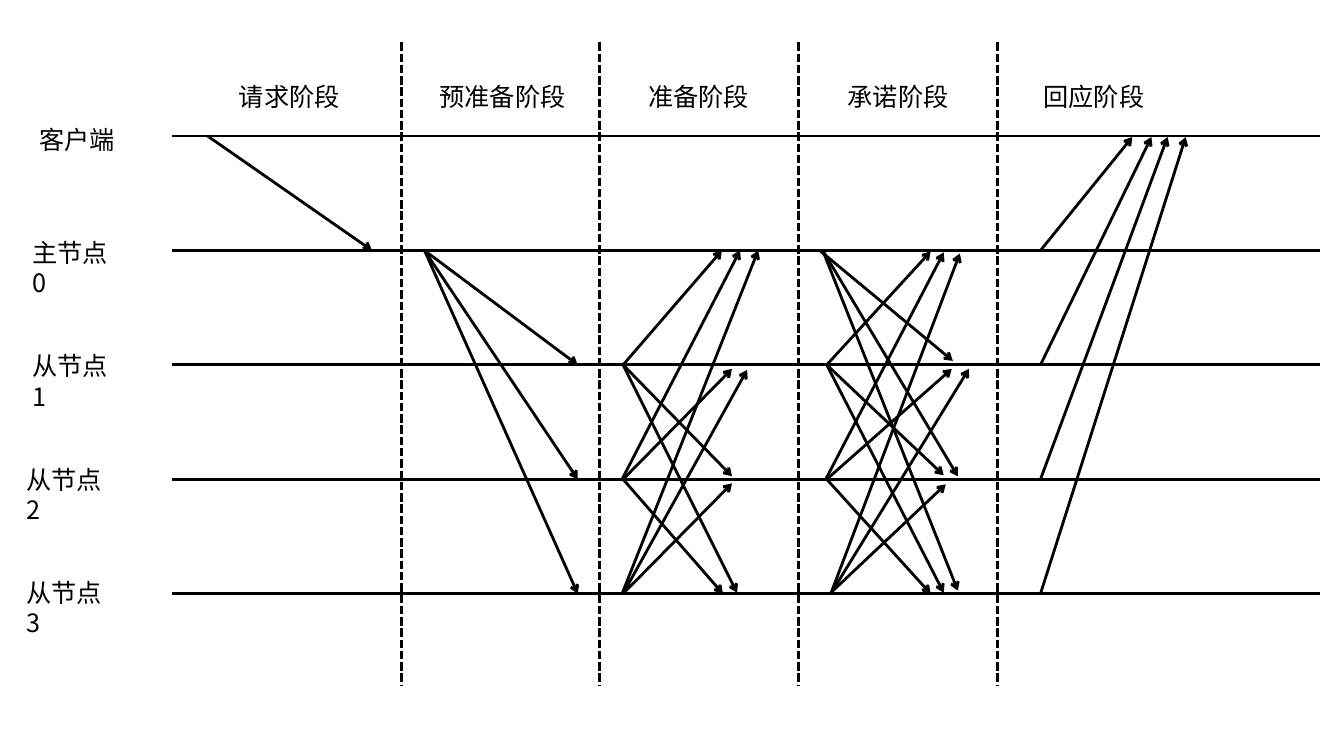
from lxml.etree import SubElement
from pptx import Presentation
from pptx.dml.color import RGBColor
from pptx.enum.dml import MSO_LINE
from pptx.enum.shapes import MSO_CONNECTOR
from pptx.oxml.ns import qn
from pptx.util import Inches, Pt

BLACK = RGBColor(0, 0, 0)
FONT = "Noto Sans CJK SC"
LANE_TOP, LANE_GAP = 1.35, 1.135
PHASE_LEFT, PHASE_WIDTH = 2.01, 1.97

LANES = [("客户端", 0.29, 0.96), ("主节点0", 0.22, 1.08), ("从节点1", 0.22, 1.08),
         ("从节点2", 0.16, 1.08), ("从节点3", 0.16, 1.08)]

# Each arrow: start lane, start x, end lane, end x, end y offset.
PHASES = [
    ("请求阶段", 0.26, 1.21, [(0, 0.05, 1, 1.68, 0)]),
    ("预准备阶段", 0.28, 1.46, [(1, 0.23, lane, 1.75, 0) for lane in (2, 3, 4)]),
    ("准备阶段", 0.38, 1.21, [
        (2, 0.23, 1, 1.21, 0), (3, 0.22, 1, 1.39, 0), (4, 0.22, 1, 1.57, 0),
        (2, 0.23, 3, 1.31, -0.03), (2, 0.23, 4, 1.36, -0.01),
        (3, 0.23, 4, 1.22, 0), (4, 0.23, 2, 1.46, 0.05),
        (4, 0.23, 3, 1.31, 0.04), (3, 0.23, 2, 1.31, 0.04)]),
    ("承诺阶段", 0.39, 1.21, [
        (2, 0.28, 1, 1.31, 0.01), (3, 0.27, 1, 1.44, 0.02), (4, 0.32, 1, 1.6, 0.03),
        (2, 0.28, 3, 1.44, -0.04), (2, 0.28, 4, 1.44, -0.01),
        (3, 0.28, 4, 1.31, 0), (4, 0.32, 2, 1.69, 0.04),
        (4, 0.31, 3, 1.46, 0.05), (3, 0.28, 2, 1.52, 0.04),
        (1, 0.21, 2, 1.53, -0.04), (1, 0.24, 3, 1.58, -0.03),
        (1, 0.24, 4, 1.58, -0.03)]),
    ("回应阶段", 0.36, 1.21, [
        (lane, 0.43, 0, end, 0.01)
        for lane, end in enumerate((1.34, 1.53, 1.69, 1.87), 1)]),
]


def lane_y(lane):
    """Return the height of a lane in inches."""
    return LANE_TOP + lane * LANE_GAP


def add_line(slide, x1, y1, x2, y2, dash=None, arrow=False):
    """Draw a black line, dashed or with an arrowhead if asked."""
    line = slide.shapes.add_connector(
        MSO_CONNECTOR.STRAIGHT, Inches(x1), Inches(y1), Inches(x2), Inches(y2))
    line.line.color.rgb = BLACK
    line.line.width = Pt(2)
    if dash:
        line.line.dash_style = dash
    if arrow:
        SubElement(line.line._get_or_add_ln(), qn("a:tailEnd"), type="arrow")
    SubElement(line._element.spPr, qn("a:effectLst"))


def add_label(slide, text, left, top, width, wrap):
    """Place one label with its text."""
    box = slide.shapes.add_textbox(
        Inches(left), Inches(top), Inches(width), Inches(0.4))
    box.text_frame.word_wrap = wrap
    run = box.text_frame.paragraphs[0].add_run()
    run.text = text
    run.font.size = Pt(18)
    run.font.name = FONT
    run.font.color.rgb = BLACK
    SubElement(run.font._element, qn("a:ea"), typeface=FONT)


def add_lanes(slide, left, width):
    """Draw the horizontal lanes and name the nodes beside them."""
    for lane, (name, label_left, label_width) in enumerate(LANES):
        add_line(slide, left, lane_y(lane), left + width, lane_y(lane))
        add_label(slide, name, label_left, 1.18 + 1.125 * lane, label_width, lane > 0)


def add_phase(slide, left, title, indent, width, arrows):
    """Place a phase title and its message arrows from a left edge."""
    add_label(slide, title, left + indent, 0.76, width, False)
    for start, x1, end, x2, offset in arrows:
        add_line(slide, left + x1, lane_y(start), left + x2,
                 lane_y(end) + offset, arrow=True)


def main():
    """Build and save the slide."""
    deck = Presentation()
    deck.slide_width, deck.slide_height = Inches(13.33), Inches(7.5)
    slide = deck.slides.add_slide(deck.slide_layouts[6])
    add_lanes(slide, 1.71, 11.38)
    for index, phase in enumerate(PHASES):
        left = PHASE_LEFT + index * PHASE_WIDTH
        if index:
            add_line(slide, left, 0.42, left, 6.81, dash=MSO_LINE.SQUARE_DOT)
        add_phase(slide, left, *phase)
    deck.save("out.pptx")


if __name__ == "__main__":
    main()
